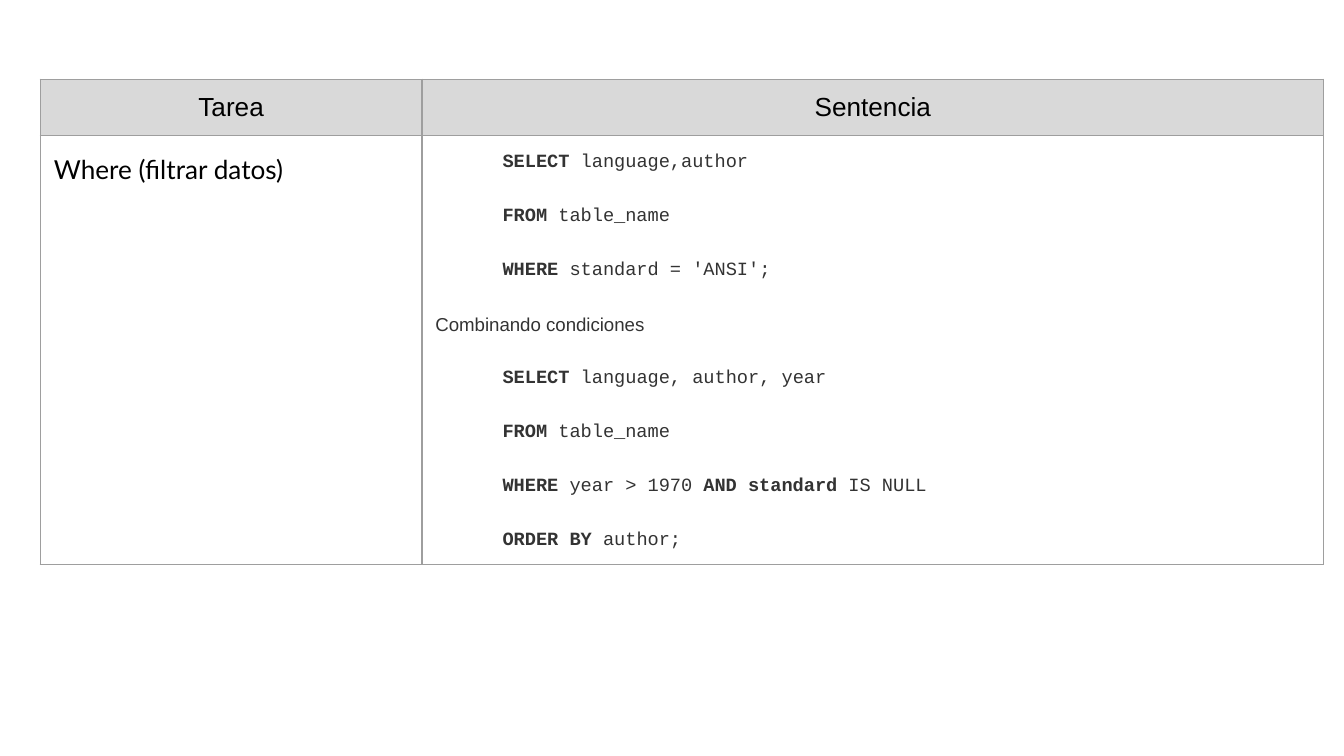
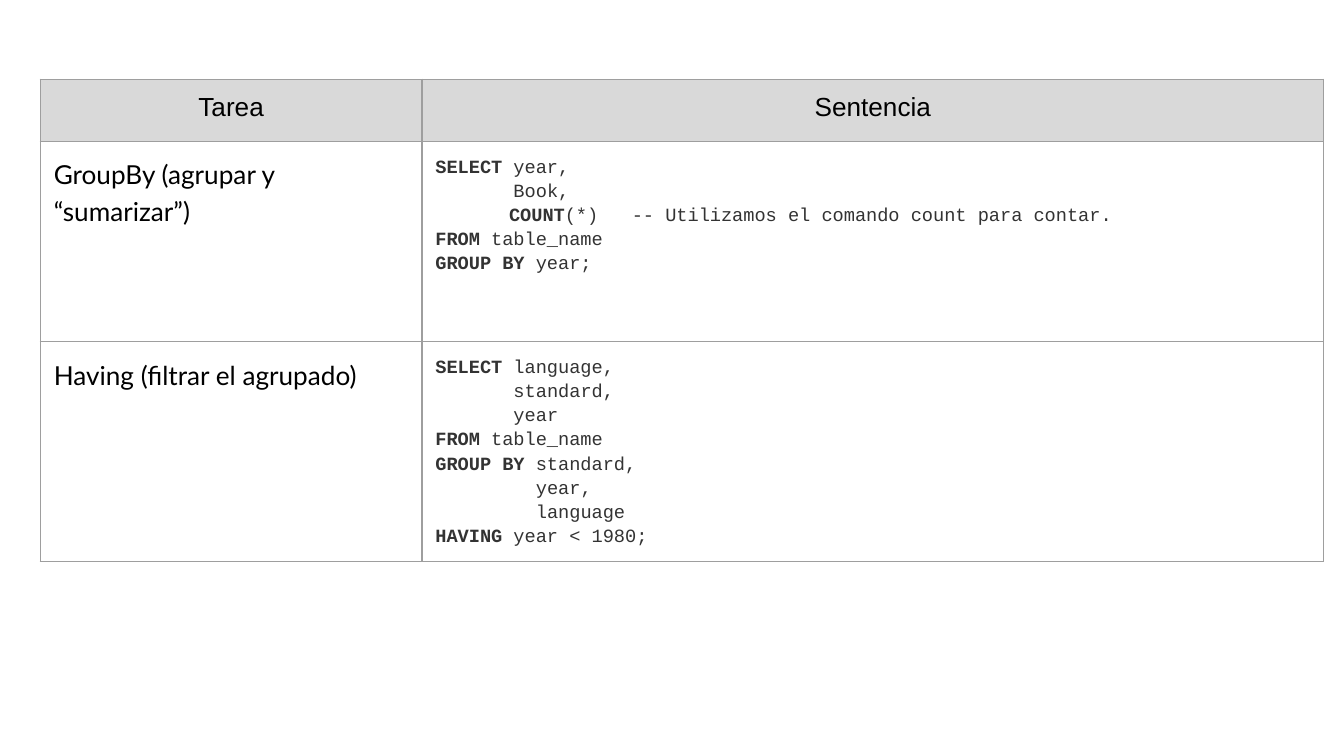
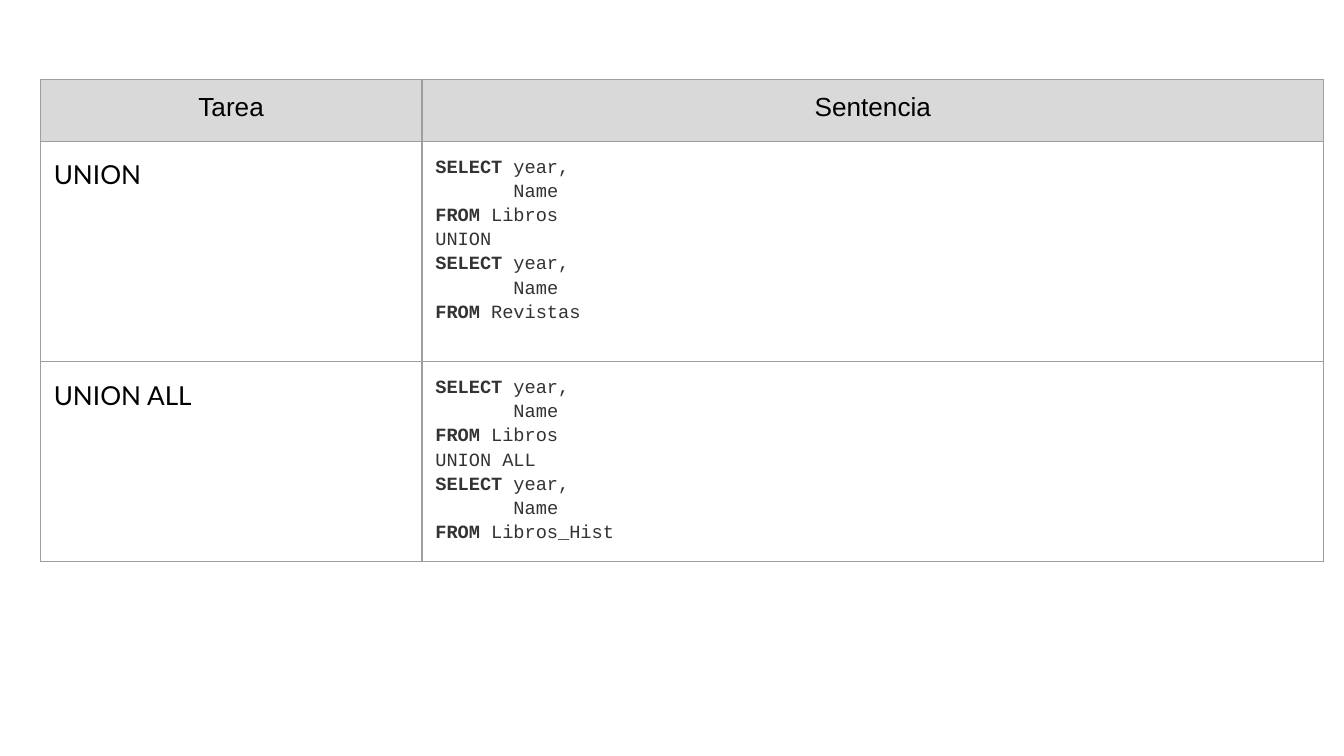
from lxml import etree
from pptx import Presentation
from pptx.dml.color import RGBColor
from pptx.enum.text import PP_ALIGN
from pptx.oxml.ns import qn
from pptx.util import Inches, Pt

CENTER = PP_ALIGN.CENTER
LEFT = PP_ALIGN.LEFT
BLACK = RGBColor(0x00, 0x00, 0x00)
CODE_GRAY = RGBColor(0x33, 0x33, 0x33)
HEADER_GRAY = RGBColor(0xD9, 0xD9, 0xD9)
BORDER_GRAY = RGBColor(0x9E, 0x9E, 0x9E)
WHITE = RGBColor(0xFF, 0xFF, 0xFF)

SLIDE_WIDTH = Inches(10)
SLIDE_HEIGHT = SLIDE_WIDTH * 9 // 16
HEADINGS = ("Tarea", "Sentencia")
TABLE_LEFT, TABLE_TOP = 0.3, 0.59
COLUMN_WIDTHS = (2.84, 6.71)
CELL_MARGIN = Inches(0.1)
BORDER_WIDTH = Pt(0.75)
BLOCK_GAP = 16
BOLD_MARK = "|"

HEADING = {"font": "Arial", "size": 14, "color": BLACK}
TASK = {"font": "Lato", "size": 14, "color": BLACK}
CODE = {"font": "Courier New", "size": 10, "color": CODE_GRAY, "highlight": WHITE}
NOTE = {**CODE, "font": "Arial"}


def add_span(para, text, font, size, color, bold=False, highlight=None):
    """Append formatted text to a paragraph."""
    span = para.add_run()
    span.text = text
    span.font.name = font
    span.font.size = Pt(size)
    span.font.bold = bold
    span.font.color.rgb = color
    if highlight is not None:
        mark = etree.Element(qn("a:highlight"))
        etree.SubElement(mark, qn("a:srgbClr"), val=str(highlight))
        span.font._element.find(qn("a:solidFill")).addnext(mark)


def code_spans(line):
    """Split a line of SQL into spans, bold between the marks."""
    return [(part, {**CODE, "bold": index % 2 == 1})
            for index, part in enumerate(line.split(BOLD_MARK)) if part]


def code_lines(*lines):
    """Turn lines of SQL into lists of spans."""
    return [code_spans(line) for line in lines]


def format_para(para, align=LEFT, spacing=1.15, before=0, after=0, indent=0):
    """Set alignment, spacing and left indent of a paragraph."""
    if indent:
        properties = para._p.get_or_add_pPr()
        properties.set("marL", str(Inches(indent)))
        properties.set("indent", "0")
    para.alignment = align
    para.line_spacing = spacing
    para.space_before = Pt(before)
    para.space_after = Pt(after)


def style_cell(cell, fill=None):
    """Give a cell its margins, four borders and fill."""
    cell.margin_left = cell.margin_right = CELL_MARGIN
    cell.margin_top = cell.margin_bottom = CELL_MARGIN
    if fill is None:
        cell.fill.background()
    else:
        cell.fill.solid()
        cell.fill.fore_color.rgb = fill
    properties = cell._tc.get_or_add_tcPr()
    for position, side in enumerate("LRTB"):
        border = etree.Element(qn(f"a:ln{side}"), w=str(BORDER_WIDTH))
        paint = etree.SubElement(border, qn("a:solidFill"))
        etree.SubElement(paint, qn("a:srgbClr"), val=str(BORDER_GRAY))
        properties.insert(position, border)


def fill_heading(cell, text):
    """Write a centred column heading."""
    style_cell(cell, HEADER_GRAY)
    para = cell.text_frame.paragraphs[0]
    format_para(para, align=CENTER, spacing=1.0)
    add_span(para, text, **HEADING)


def fill_task(cell, text):
    """Write the name of a task."""
    style_cell(cell)
    para = cell.text_frame.paragraphs[0]
    format_para(para, after=BLOCK_GAP)
    add_span(para, text, **TASK)


def fill_statement(cell, lines, gap=0, indent=0):
    """Write a statement line by line; notes are not indented."""
    style_cell(cell)
    frame = cell.text_frame
    for index, spans in enumerate(lines):
        para = frame.add_paragraph() if index else frame.paragraphs[0]
        is_note = spans[0][1] is NOTE
        format_para(para, before=gap if index else 0,
                    after=gap if index == len(lines) - 1 else 0,
                    indent=0 if is_note else indent)
        for text, text_format in spans:
            add_span(para, text, **text_format)


def add_statement_slide(deck, row_heights, entries, **statement_format):
    """Add a slide with a table of tasks and their SQL statements."""
    page = deck.slides.add_slide(deck.slide_layouts[6])
    table = page.shapes.add_table(
        len(row_heights), len(HEADINGS), Inches(TABLE_LEFT), Inches(TABLE_TOP),
        Inches(sum(COLUMN_WIDTHS)), Inches(sum(row_heights))).table
    table.first_row = table.horz_banding = False
    for column, width in zip(table.columns, COLUMN_WIDTHS):
        column.width = Inches(width)
    for row, height in zip(table.rows, row_heights):
        row.height = Inches(height)
    for column, heading in enumerate(HEADINGS):
        fill_heading(table.cell(0, column), heading)
    for row, (task, lines) in enumerate(entries, start=1):
        fill_task(table.cell(row, 0), task)
        fill_statement(table.cell(row, 1), lines, **statement_format)


def union_lines(operator, second_table):
    """Return the lines of a query that unites two tables."""
    select = ("|SELECT| year,", "       Name")
    return code_lines(*select, "|FROM| Libros", operator,
                      *select, f"|FROM| {second_table}")


def main():
    """Build the deck and save it."""
    deck = Presentation()
    deck.slide_width, deck.slide_height = SLIDE_WIDTH, SLIDE_HEIGHT

    where = [
        *code_lines("|SELECT| language,author", "|FROM| table_name",
                    "|WHERE| standard = 'ANSI';"),
        [("Combinando condiciones", NOTE)],
        *code_lines("|SELECT| language, author, year", "|FROM| table_name",
                    "|WHERE| year > 1970 |AND| |standard| IS NULL",
                    "|ORDER BY| author;"),
    ]
    add_statement_slide(deck, (0.42, 3.19), [("Where (filtrar datos)", where)],
                        gap=BLOCK_GAP, indent=0.5)

    count_line = [
        ("      ", CODE), (" ", {**CODE, "size": 6}),
        *code_spans("|COUNT|(*)   -- Utilizamos el comando count para contar."),
    ]
    group_by = [
        *code_lines("|SELECT| year,", "       Book,"),
        count_line,
        *code_lines("|FROM| table_name", "|GROUP| |BY| year;"),
    ]
    having = code_lines(
        "|SELECT| language,", "       standard,", "       year",
        "|FROM| table_name", "|GROUP| |BY| standard,", "         year,",
        "         language", "|HAVING| year < 1980;")
    add_statement_slide(deck, (0.46, 1.49, 1.64), [
        ("GroupBy (agrupar y “sumarizar”)", group_by),
        ("Having (filtrar el agrupado)", having)])

    add_statement_slide(deck, (0.46, 1.64, 1.49), [
        ("UNION", union_lines("UNION", "Revistas")),
        ("UNION ALL", union_lines("UNION ALL", "Libros_Hist"))])

    deck.save("out.pptx")


if __name__ == "__main__":
    main()
